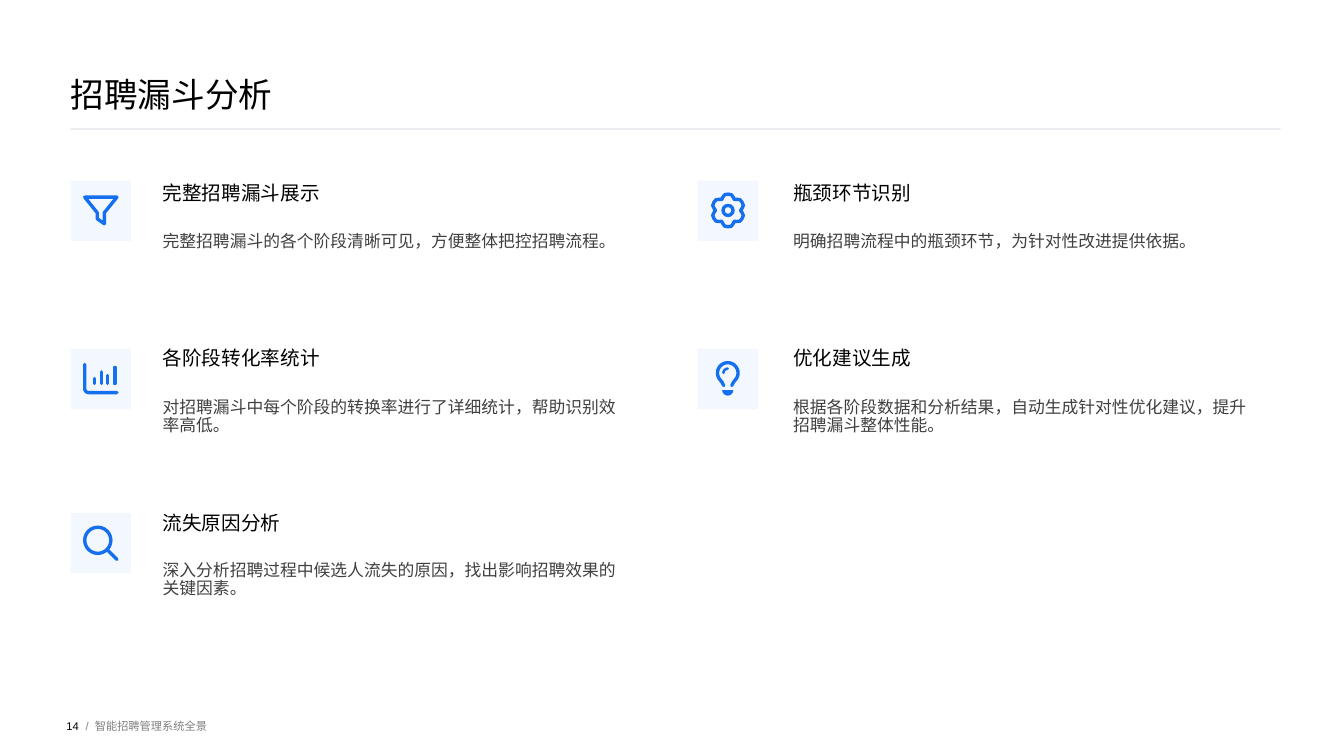
from dataclasses import dataclass
from math import cos, radians, sin
from typing import Callable, NamedTuple

from lxml import etree
from pptx import Presentation
from pptx.dml.color import RGBColor
from pptx.enum import shapes, text
from pptx.oxml import ns
from pptx.util import Cm, Pt

BLUE, BLACK, BODY, MUTED, RULE = "1570EF", "000000", "404040", "808080", "EAECF0"
TILE = 1.52
UNIT = TILE / 60  # icons are drawn on a 60 x 60 grid
TEXT_WIDTH = 11.43

Point = tuple[float, float]


class Column(NamedTuple):
    tile: float
    text: float


class Row(NamedTuple):
    tile: float
    heading: float
    detail: float


@dataclass
class Feature:
    column: Column
    row: Row
    heading: str
    detail: str
    icon: Callable[["Tile"], None]


def paint(fmt, color: str) -> None:
    """Give a fill or a font a solid colour."""
    if hasattr(fmt, "solid"):
        fmt.solid()
        fmt.fore_color.rgb = RGBColor.from_string(color)
    else:
        fmt.color.rgb = RGBColor.from_string(color)


def outline(shape, color: str, width: float) -> None:
    """Draw a round-ended line and drop the shadow."""
    paint(shape.line.fill, color)
    shape.line.width = Pt(width)
    properties = shape._element.spPr
    ln = properties.find(ns.qn("a:ln"))
    ln.set("cap", "rnd")
    etree.SubElement(ln, ns.qn("a:round"))
    etree.SubElement(properties, ns.qn("a:effectLst"))


def arc(cx: float, cy: float, radius: float, start: int, end: int) -> list[Point]:
    """Points along a clockwise arc, angles in degrees from the right."""
    return [(cx + radius * cos(radians(a)), cy + radius * sin(radians(a)))
            for a in range(start, end + 1, 5)]


@dataclass
class Tile:
    """Pale square whose methods draw the icon on it."""
    canvas: object
    left: float
    top: float

    def background(self) -> None:
        square = self.canvas.add_shape(shapes.MSO_SHAPE.RECTANGLE, Cm(self.left),
                                       Cm(self.top), Cm(TILE), Cm(TILE))
        square.shadow.inherit = False
        square.line.fill.background()
        paint(square.fill, BLUE)
        tint = square._element.spPr.find(ns.qn("a:solidFill"))[0]
        etree.SubElement(tint, ns.qn("a:alpha")).set("val", "5000")

    def spot(self, x: float, y: float) -> tuple[int, int]:
        return Cm(self.left + x * UNIT), Cm(self.top + y * UNIT)

    def segment(self, start: Point, end: Point) -> None:
        connector = self.canvas.add_connector(
            shapes.MSO_CONNECTOR.STRAIGHT, *self.spot(*start), *self.spot(*end))
        outline(connector, BLUE, 2.4)

    def ring(self, cx: float, cy: float, radius: float) -> None:
        size = Cm(2 * radius * UNIT)
        circle = self.canvas.add_shape(
            shapes.MSO_SHAPE.OVAL, *self.spot(cx - radius, cy - radius), size, size)
        circle.fill.background()
        outline(circle, BLUE, 2.4)

    def trace(self, points: list[Point], close: bool = False, filled: bool = False,
              width: float = 2.4) -> None:
        spots = [self.spot(*point) for point in points]
        builder = self.canvas.build_freeform(*spots[0])
        builder.add_line_segments(spots[1:], close=close)
        form = builder.convert_to_shape()
        if filled:
            paint(form.fill, BLUE)
            form.line.fill.background()
            form.shadow.inherit = False
        else:
            form.fill.background()
            outline(form, BLUE, width)


def funnel(tile: Tile) -> None:
    tile.trace([(14, 16.5), (46, 16.5), (33.5, 32), (33.5, 43), (26.5, 38), (26.5, 32)],
               close=True)


def bar_chart(tile: Tile) -> None:
    tile.trace([(14, 15.5), *reversed(arc(18, 39.5, 4, 90, 180)), (46, 43.5)])
    for x, top in ((24, 29.5), (30.5, 23), (37, 26.5), (44, 18.5)):
        tile.segment((x, top), (x, 34.5))


def magnifier(tile: Tile) -> None:
    tile.ring(27, 27, 13)
    tile.segment((36.5, 36.5), (46, 46))


def gear(tile: Tile) -> None:
    profile = ((-22, 14), (-12, 16), (0, 16.2), (12, 16), (22, 14), (30, 12.5))
    tile.trace([arc(30.3, 29.7, radius, tooth + turn, tooth + turn)[0]
                for tooth in range(30, 390, 60) for turn, radius in profile], close=True)
    tile.ring(30.3, 29.7, 5)


def light_bulb(tile: Tile) -> None:
    neck = [(26, 36.5), (24.5, 33.5)]
    tile.trace([*neck, *arc(30, 24, 10.2, 145, 395), *[(60 - x, y) for x, y in neck[::-1]]])
    tile.trace(arc(30, 24, 4.2, 180, 270), width=1.8)
    tile.trace(arc(30, 41, 5.5, 0, 180), close=True, filled=True)


def write(frame, content: str, size: float, color: str, anchor=text.MSO_ANCHOR.TOP,
          align=text.PP_ALIGN.LEFT, spacing: float = 1.0) -> None:
    """Fill a text frame without margins with one run."""
    frame.word_wrap = True
    frame.auto_size = text.MSO_AUTO_SIZE.NONE
    frame.vertical_anchor = anchor
    frame.margin_left = frame.margin_top = frame.margin_right = frame.margin_bottom = 0
    paragraph = frame.paragraphs[0]
    paragraph.alignment = align
    paragraph.line_spacing = spacing
    paragraph.space_before = Pt(0)
    run = paragraph.add_run()
    run.text = content
    run.font.name = "Arial"
    run.font.size = Pt(size)
    paint(run.font, color)


def label(canvas, left: float, top: float, width: float, height: float,
          content: str, size: float, color: str, **layout) -> None:
    box = canvas.add_textbox(Cm(left), Cm(top), Cm(width), Cm(height))
    write(box.text_frame, content, size, color, **layout)


LEFT, RIGHT = Column(1.78, 4.1), Column(17.58, 19.99)
TOP, MIDDLE, BOTTOM = Row(4.55, 4.62, 5.88), Row(8.79, 8.79, 10.06), Row(12.93, 12.95, 14.17)
FEATURES = [
    Feature(LEFT, TOP, "完整招聘漏斗展示",
            "完整招聘漏斗的各个阶段清晰可见，方便整体把控招聘流程。", funnel),
    Feature(LEFT, MIDDLE, "各阶段转化率统计",
            "对招聘漏斗中每个阶段的转换率进行了详细统计，帮助识别效率高低。", bar_chart),
    Feature(LEFT, BOTTOM, "流失原因分析",
            "深入分析招聘过程中候选人流失的原因，找出影响招聘效果的关键因素。", magnifier),
    Feature(RIGHT, TOP, "瓶颈环节识别",
            "明确招聘流程中的瓶颈环节，为针对性改进提供依据。", gear),
    Feature(RIGHT, MIDDLE, "优化建议生成",
            "根据各阶段数据和分析结果，自动生成针对性优化建议，提升招聘漏斗整体性能。", light_bulb),
]


def main() -> None:
    deck = Presentation()
    deck.slide_width, deck.slide_height = Cm(33.87), Cm(19.05)
    slide = deck.slides.add_slide(deck.slide_layouts[5])
    canvas = slide.shapes

    title = canvas.title
    title.left, title.top, title.width, title.height = Cm(1.78), Cm(0), Cm(30.33), Cm(2.87)
    write(title.text_frame, "招聘漏斗分析", 24, BLACK, anchor=text.MSO_ANCHOR.BOTTOM)
    rule = canvas.add_connector(shapes.MSO_CONNECTOR.STRAIGHT,
                                Cm(1.8), Cm(3.25), Cm(32.25), Cm(3.25))
    outline(rule, RULE, 2)

    for feature in FEATURES:
        column, row = feature.column, feature.row
        tile = Tile(canvas, column.tile, row.tile)
        tile.background()
        feature.icon(tile)
        label(canvas, column.text, row.heading, TEXT_WIDTH, 1.02, feature.heading, 14, BLACK,
              spacing=0.9)
        label(canvas, column.text, row.detail, TEXT_WIDTH, 2.03, feature.detail, 12, BODY,
              spacing=0.9)

    for left, width, content, color, align in (
            (1.19, 0.8, "14", BLACK, text.PP_ALIGN.RIGHT),
            (2.16, 0.23, "/", MUTED, text.PP_ALIGN.LEFT),
            (2.39, 21.87, "智能招聘管理系统全景", MUTED, text.PP_ALIGN.LEFT)):
        label(canvas, left, 17.53, width, 1.52, content, 8, color,
              anchor=text.MSO_ANCHOR.MIDDLE, align=align)

    deck.save("out.pptx")


if __name__ == "__main__":
    main()
